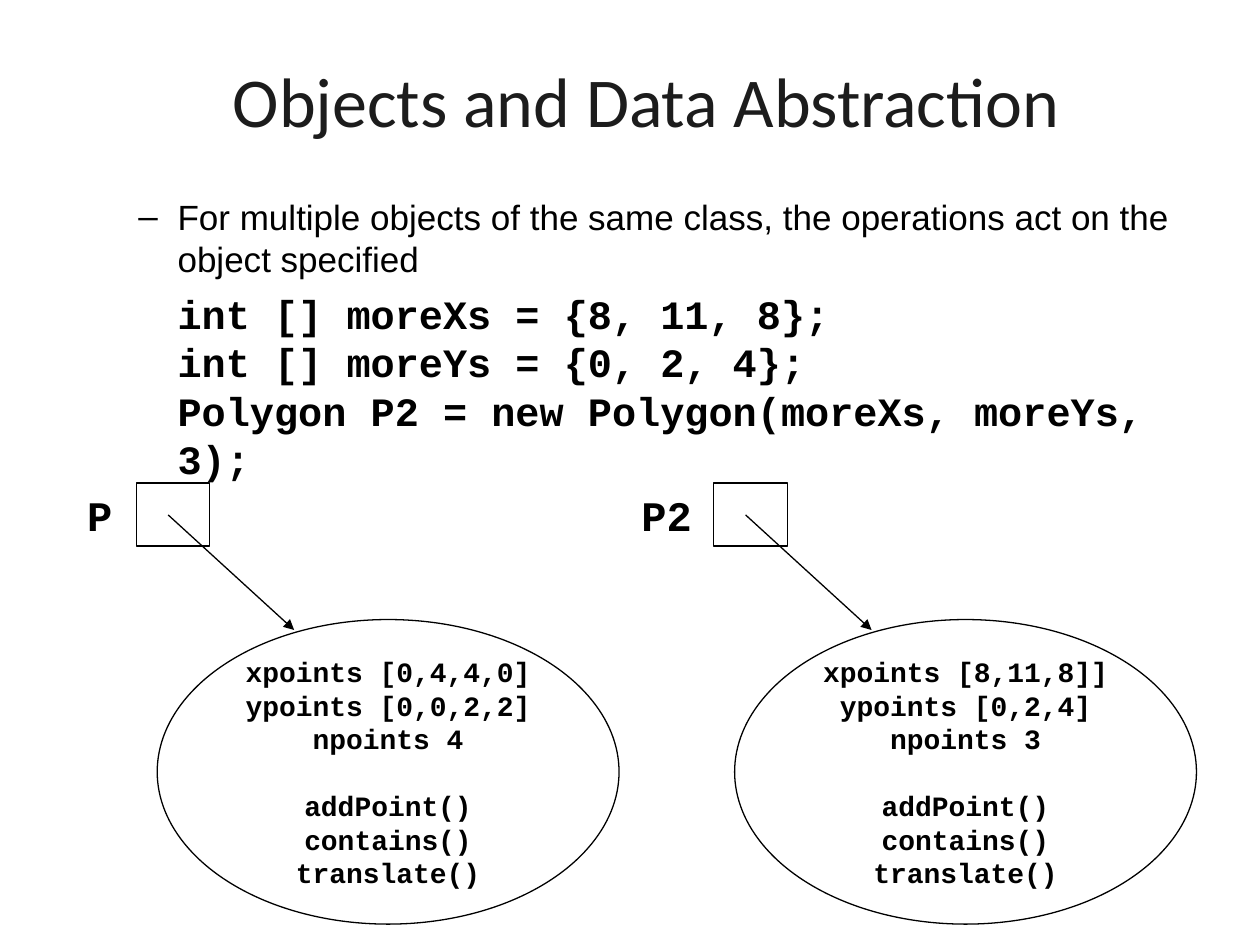
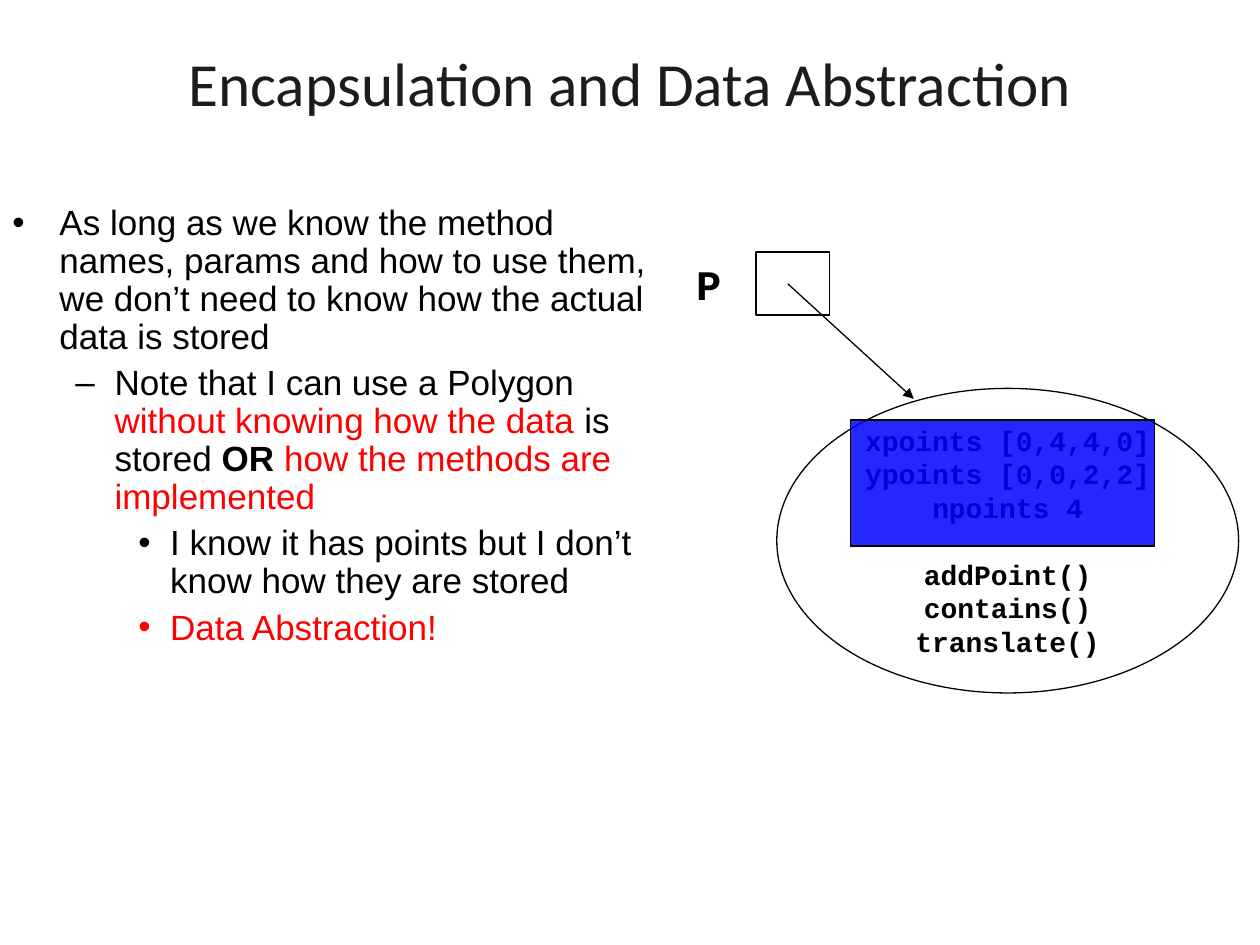
from lxml import etree
from pptx import Presentation
from pptx.dml.color import RGBColor
from pptx.enum.shapes import MSO_CONNECTOR as Connector, MSO_SHAPE as Shape
from pptx.enum.text import MSO_ANCHOR as Anchor, PP_ALIGN as Align
from pptx.oxml.ns import qn
from pptx.util import Cm, Pt

BLACK = RGBColor(0x00, 0x00, 0x00)
TITLE_GREY = RGBColor(0x1C, 0x1C, 0x1C)
RED = RGBColor(0xFF, 0x00, 0x00)
BLUE = RGBColor(0x00, 0x00, 0xFF)
SANS, TITLE_FONT, MONO = "Arial", "Calibri", "Courier New"

# Content: paragraphs are (level, bullet, bullet colour, runs); runs are (text, colour, bold)
OBJECTS_TITLE = "Objects and Data Abstraction"
OBJECTS_POINTS = [
    (1, "–", BLACK, [("For multiple objects of the same class, the operations "
                      "act on the object specified", BLACK, False)]),
]
POLYGON_CODE = [
    "int [] moreXs = {8, 11, 8};",
    "int [] moreYs = {0, 2, 4};",
    "Polygon P2 = new Polygon(moreXs, moreYs, 3);",
]
ENCAPSULATION_TITLE = "Encapsulation and Data Abstraction"
ENCAPSULATION_POINTS = [
    (0, "•", BLACK, [("As long as we know the method names, params and how to use them, "
                      "we don’t need to know how the actual data is stored", BLACK, False)]),
    (1, "–", BLACK, [("Note that I can use a Polygon ", BLACK, False),
                     ("without knowing how the data", RED, False),
                     (" is stored ", BLACK, False),
                     ("OR ", BLACK, True),
                     ("how the methods are implemented", RED, False)]),
    (2, "•", BLACK, [("I know it has points but I don’t know how they are stored",
                      BLACK, False)]),
    (2, "•", RED, [("Data Abstraction!", RED, False)]),
]
P_DATA = ["xpoints [0,4,4,0]", "ypoints [0,0,2,2]", "npoints 4"]
P2_DATA = ["xpoints [8,11,8]]", "ypoints [0,2,4]", "npoints 3"]
METHODS = ["addPoint()", "contains()", "translate()"]

# Left margin and hanging indent of each level, in cm
INDENTS = [(0.95, -0.95), (2.06, -0.79), (3.18, -0.64)]


def set_font(paragraph, name, size, color=BLACK, bold=False):
    font = paragraph.font
    font.name, font.size, font.bold = name, Pt(size), bold
    font.color.rgb = color


def add_text(slide, left, top, width, height, wrap=True, anchor=Anchor.TOP):
    frame = slide.shapes.add_textbox(Cm(left), Cm(top), Cm(width), Cm(height)).text_frame
    frame.word_wrap = wrap
    frame.vertical_anchor = anchor
    return frame


def add_title(slide, title, size, left, top, width, height):
    paragraph = add_text(slide, left, top, width, height, anchor=Anchor.MIDDLE).paragraphs[0]
    paragraph.text = title
    paragraph.alignment = Align.CENTER
    set_font(paragraph, TITLE_FONT, size, TITLE_GREY)


def set_indent(paragraph, level, hanging=True):
    margin, indent = INDENTS[level]
    properties = paragraph._p.get_or_add_pPr()
    properties.set("marL", str(Cm(margin)))
    properties.set("indent", str(Cm(indent) if hanging else 0))
    paragraph.level = level
    return properties


def add_points(frame, points, line_spacing=None):
    for number, (level, bullet, bullet_color, runs) in enumerate(points):
        paragraph = frame.add_paragraph() if number else frame.paragraphs[0]
        properties = set_indent(paragraph, level)
        color = etree.SubElement(properties, qn("a:buClr"))
        etree.SubElement(color, qn("a:srgbClr"), val=str(bullet_color))
        etree.SubElement(properties, qn("a:buFont"), typeface=SANS)
        etree.SubElement(properties, qn("a:buChar"), char=bullet)
        if line_spacing:
            paragraph.line_spacing = line_spacing
        if number:
            paragraph.space_before = Pt(5)
        set_font(paragraph, SANS, 20)
        for text, run_color, bold in runs:
            run = paragraph.add_run()
            run.text = text
            if run_color != BLACK:
                run.font.color.rgb = run_color
            if bold:
                run.font.bold = True


def add_outline(slide, kind, left, top, width, height):
    outline = slide.shapes.add_shape(kind, Cm(left), Cm(top), Cm(width), Cm(height))
    outline.shadow.inherit = False
    outline.fill.background()
    outline.line.color.rgb = BLACK
    outline.line.width = Pt(0.75)
    return outline


def add_arrow(slide, x1, y1, x2, y2):
    arrow = slide.shapes.add_connector(Connector.STRAIGHT, Cm(x1), Cm(y1), Cm(x2), Cm(y2))
    arrow.line.color.rgb = BLACK
    arrow.line.width = Pt(0.75)
    etree.SubElement(arrow.line._get_or_add_ln(), qn("a:tailEnd"), type="triangle")
    etree.SubElement(arrow._element.spPr, qn("a:effectLst"))


def add_object(slide, variable, data, left, top, label_offset=1.9):
    """Draw a variable box at left, top that points to its object."""
    label = add_text(slide, left - label_offset, top, 1.9, 1.27, False, Anchor.MIDDLE)
    label.paragraphs[0].text = variable
    label.paragraphs[0].alignment = Align.CENTER
    set_font(label.paragraphs[0], MONO, 24, bold=True)
    add_outline(slide, Shape.RECTANGLE, left, top, 1.48, 1.27)

    members = add_outline(slide, Shape.OVAL, left + 0.42, top + 2.75, 9.31, 6.14).text_frame
    members.word_wrap = False
    members.vertical_anchor = Anchor.MIDDLE
    for number, member in enumerate(data + METHODS):
        paragraph = members.add_paragraph() if number else members.paragraphs[0]
        paragraph.text = member
        paragraph.alignment = Align.CENTER
        if number == len(data):
            paragraph.space_before = Pt(19)
        set_font(paragraph, MONO, 16, bold=True)
    add_arrow(slide, left + 0.64, top + 0.64, left + 3.18, top + 2.96)


def build_objects_slide(slide):
    add_title(slide, OBJECTS_TITLE, 40, 1.7, 0.64, 22.65, 2.75)
    body = add_text(slide, 1.27, 3.81, 23.7, 12.57)
    add_points(body, OBJECTS_POINTS)
    code = body.add_paragraph()
    code.text = "\v".join(POLYGON_CODE)
    set_indent(code, 1, hanging=False)
    code.space_before = Pt(5.8)
    set_font(code, MONO, 23, bold=True)
    add_object(slide, "P", P_DATA, 2.75, 9.74, label_offset=1.69)
    add_object(slide, "P2", P2_DATA, 14.39, 9.74)


def build_encapsulation_slide(slide):
    add_title(slide, ENCAPSULATION_TITLE, 35, 1.27, 0.76, 22.86, 1.78)
    add_points(add_text(slide, 0, 4.02, 13.76, 14.6), ENCAPSULATION_POINTS, 0.9)
    left, top = 15.24, 5.08
    add_object(slide, "P", P_DATA, left, top)
    # Translucent cover that hides the data
    cover = add_outline(slide, Shape.RECTANGLE, left + 1.9, top + 3.39, 6.14, 2.54)
    cover.fill.solid()
    cover.fill.fore_color.rgb = BLUE
    color = cover._element.spPr.find(qn("a:solidFill")).find(qn("a:srgbClr"))
    etree.SubElement(color, qn("a:alpha"), val="85000")


def main():
    deck = Presentation()
    deck.slide_width, deck.slide_height = Cm(25.4), Cm(19.05)
    for build in (build_objects_slide, build_encapsulation_slide):
        build(deck.slides.add_slide(deck.slide_layouts[6]))
    deck.save("out.pptx")


if __name__ == "__main__":
    main()
